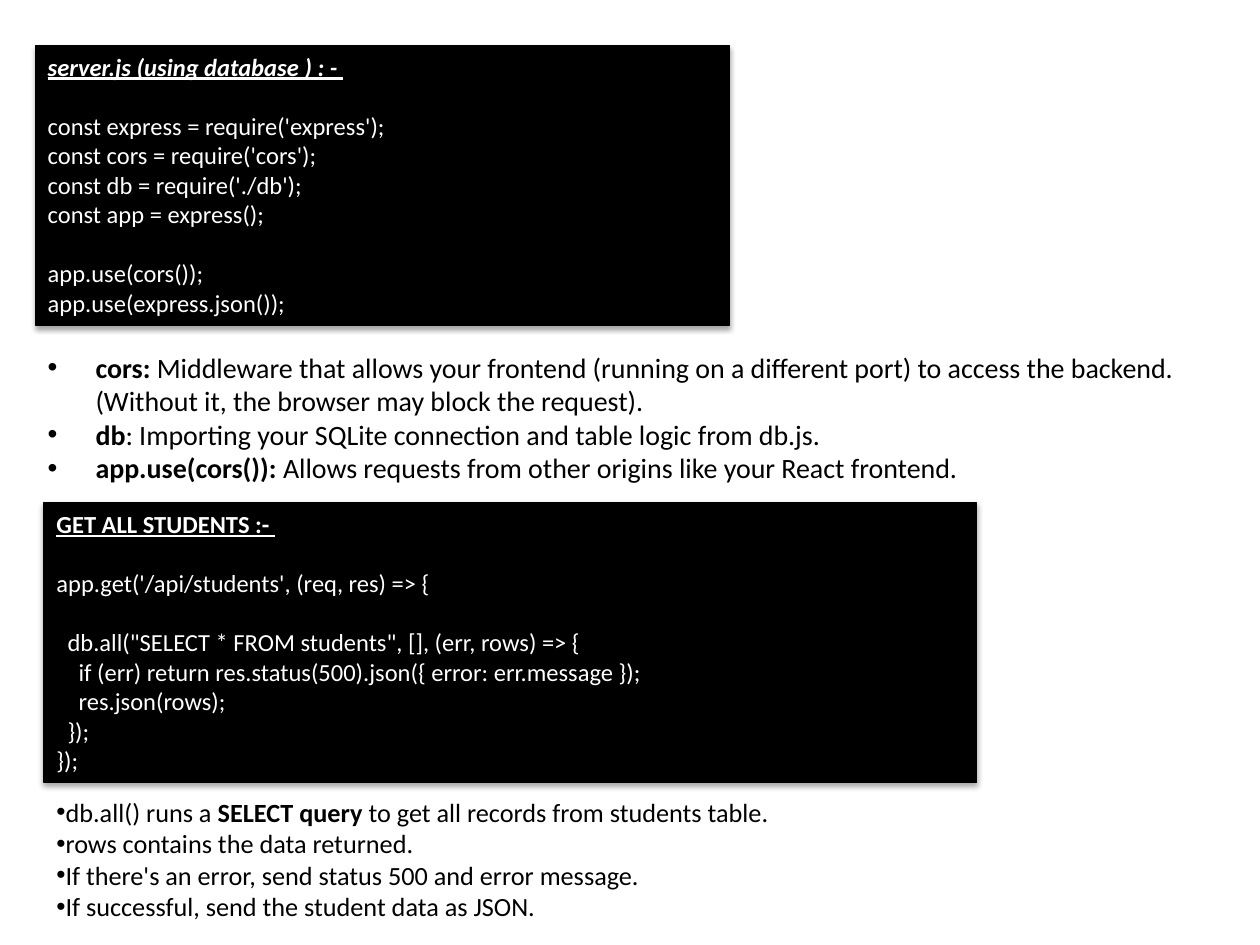
import pptx
import pptx.util
import pptx.dml.color
import pptx.enum.shapes
import pptx.enum.text
import pptx.oxml
import pptx.oxml.ns
from pptx.util import Inches, Pt

BLACK = pptx.dml.color.RGBColor(0x00, 0x00, 0x00)
WHITE = pptx.dml.color.RGBColor(0xFF, 0xFF, 0xFF)
FONT = "Calibri"
CODE_SIZE = 14
CODE_LINE = 17  # height of one code line in points

# Each block of code lines is set off from the one above by one line.
CODE_PANELS = [
    {
        "at": (0.28, 0.36, 5.51, 2.22),
        "title": "server.js (using database ) : - ",
        "italic": True,
        "blocks": [
            [
                "const express = require('express');",
                "const cors = require('cors');",
                "const db = require('./db');",
                "const app = express();",
            ],
            ["app.use(cors());", "app.use(express.json());"],
        ],
    },
    {
        "at": (0.35, 3.99, 7.4, 2.22),
        "title": "GET ALL STUDENTS :- ",
        "italic": False,
        "blocks": [
            ["app.get('/api/students', (req, res) => {"],
            [
                '  db.all("SELECT * FROM students", [], (err, rows) => {',
                "    if (err) return res.status(500).json({ error: err.message });",
                "    res.json(rows);",
                "  });",
                "});",
            ],
        ],
    },
]

# Each bullet is a list of (text, bold) pieces.
NOTES = [
    {
        "at": (0.28, 2.73, 9.21, 1.18),
        "size": 16,
        "hanging": 0.38,
        "bullets": [
            [
                ("cors: ", True),
                ("Middleware that allows your frontend (running on a different port) "
                 "to access the backend. (Without it, the browser may block the request).", False),
            ],
            [
                ("db", True),
                (": Importing your SQLite connection and table logic from db.js.", False),
            ],
            [
                ("app.use(cors()): ", True),
                ("Allows requests from other origins like your React frontend.", False),
            ],
        ],
    },
    {
        "at": (0.35, 6.27, 7.8, 1.11),
        "size": 15,
        "hanging": 0,
        "bullets": [
            [
                ("db.all() runs a ", False),
                ("SELECT query", True),
                (" to get all records from students table.", False),
            ],
            [("rows contains the data returned.", False)],
            [("If there's an error, send status 500 and error message.", False)],
            [("If successful, send the student data as JSON.", False)],
        ],
    },
]


def add_run(paragraph, text, size, color, bold=False):
    run = paragraph.add_run()
    run.text = text
    run.font.name = FONT
    run.font.size = Pt(size)
    run.font.color.rgb = color
    run.font.bold = bold
    return run


def add_soft_shadow(shape):
    shape.shadow.inherit = False
    effects = shape._element.spPr.find(pptx.oxml.ns.qn("a:effectLst"))
    effects.append(pptx.oxml.parse_xml(
        f'<a:outerShdw {pptx.oxml.ns.nsdecls("a")} blurRad="{Pt(3.1)}" dist="{Pt(1.8)}" '
        'dir="5400000" rotWithShape="0"><a:srgbClr val="000000">'
        '<a:alpha val="35000"/></a:srgbClr></a:outerShdw>'))


def add_code_panel(slide, panel):
    box = slide.shapes.add_shape(
        pptx.enum.shapes.MSO_SHAPE.RECTANGLE, *map(Inches, panel["at"]))
    box.fill.solid()
    box.fill.fore_color.rgb = BLACK
    box.line.color.rgb = BLACK
    box.line.width = Pt(0.75)
    add_soft_shadow(box)

    frame = box.text_frame
    frame.word_wrap = True
    frame.vertical_anchor = pptx.enum.text.MSO_ANCHOR.TOP
    heading = frame.paragraphs[0]
    title = add_run(heading, panel["title"], CODE_SIZE, WHITE, bold=True)
    title.font.italic = panel["italic"]
    title.font.underline = True
    for block in panel["blocks"]:
        for index, code in enumerate(block):
            line = frame.add_paragraph()
            if index == 0:
                line.space_before = Pt(CODE_LINE)
            add_run(line, code, CODE_SIZE, WHITE)
    for paragraph in frame.paragraphs:
        paragraph.alignment = pptx.enum.text.PP_ALIGN.LEFT


def add_bullet(paragraph, hanging):
    properties = paragraph._p.get_or_add_pPr()
    properties.set("marL", str(Inches(hanging)))
    properties.set("indent", str(-Inches(hanging)))
    namespace = pptx.oxml.ns.nsdecls("a")
    properties.append(pptx.oxml.parse_xml(f'<a:buFont {namespace} typeface="Arial"/>'))
    properties.append(pptx.oxml.parse_xml(f'<a:buChar {namespace} char="•"/>'))


def add_notes(slide, notes):
    frame = slide.shapes.add_textbox(*map(Inches, notes["at"])).text_frame
    frame.word_wrap = True
    for index, pieces in enumerate(notes["bullets"]):
        paragraph = frame.add_paragraph() if index else frame.paragraphs[0]
        add_bullet(paragraph, notes["hanging"])
        for text, bold in pieces:
            add_run(paragraph, text, notes["size"], BLACK, bold)


def main():
    deck = pptx.Presentation()
    deck.slide_width, deck.slide_height = Inches(10), Inches(7.5)
    slide = deck.slides.add_slide(deck.slide_layouts[6])
    for panel, notes in zip(CODE_PANELS, NOTES):
        add_code_panel(slide, panel)
        add_notes(slide, notes)
    deck.save("out.pptx")


if __name__ == "__main__":
    main()
